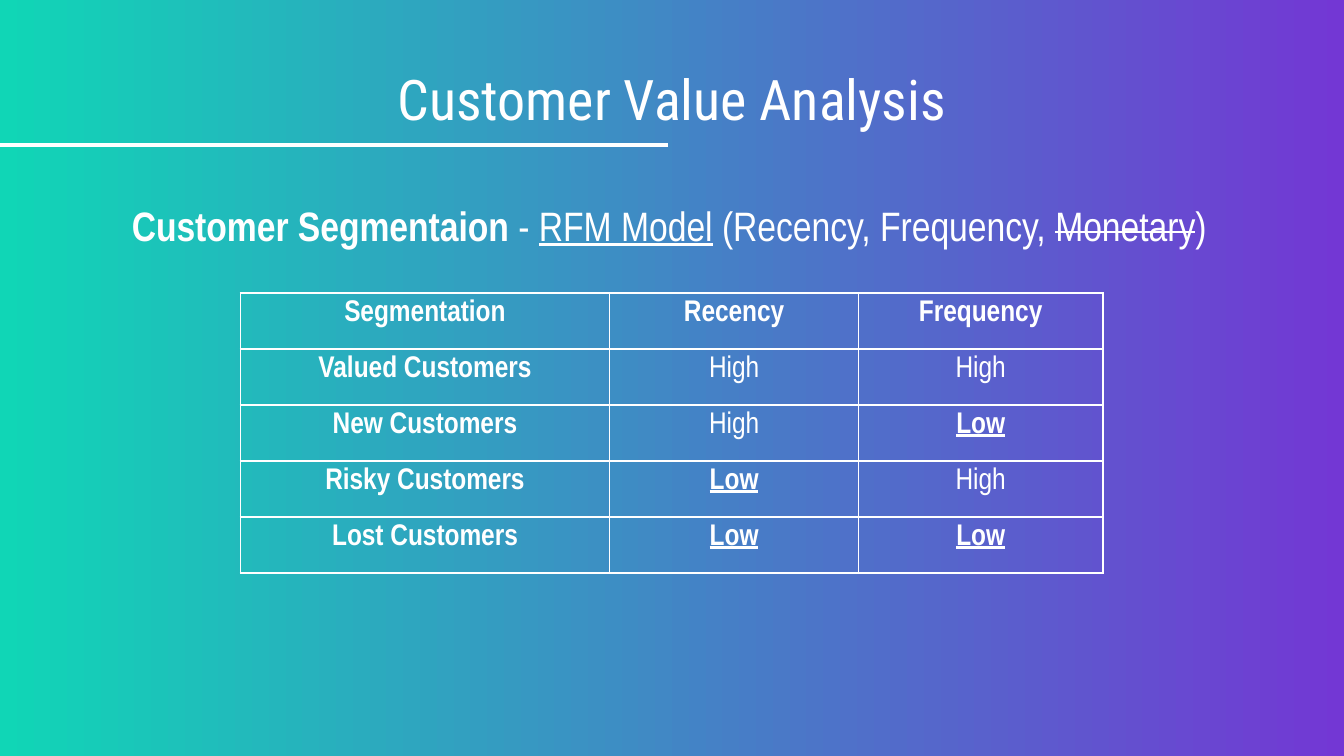
from lxml.etree import SubElement
from pptx import Presentation
from pptx.dml.color import RGBColor
from pptx.enum.text import MSO_ANCHOR as Anchor, MSO_AUTO_SIZE as AutoSize, PP_ALIGN as Align
from pptx.oxml.ns import qn
from pptx.util import Pt

COLORS = {"start": "10D6B6", "end": "7337D4", "white": "FFFFFF"}
TITLE_FONT, BODY_FONT = "Roboto Condensed", "Arial Narrow"
HEADERS = ["Segmentation", "Recency", "Frequency"]
SEGMENTS = [
    ["Valued Customers", "High", "High"],
    ["New Customers", "High", "Low"],
    ["Risky Customers", "Low", "High"],
    ["Lost Customers", "Low", "Low"],
]
COLUMN_WIDTHS = [198, 133.2, 131]
ROW_HEIGHT = 30


def color(name):
    return RGBColor.from_string(COLORS[name])


def add_run(paragraph, text, font_name, size, bold=False, underline=False, strike=False):
    run = paragraph.add_run()
    run.text = text
    font = run.font
    font.name, font.size = font_name, Pt(size)
    font.bold, font.underline = bold, underline
    font.color.rgb = color("white")
    if strike:
        run._r.get_or_add_rPr().set("strike", "sngStrike")


def set_background(slide):
    fill = slide.background.fill
    fill.gradient()
    fill.gradient_angle = 0
    for stop, name, position in zip(fill.gradient_stops, ("start", "end"), (0, 1)):
        stop.color.rgb = color(name)
        stop.position = position


def place_text(shape, left, top, width, height, anchor, align):
    """Position a placeholder and return its first paragraph."""
    shape.left, shape.top = Pt(left), Pt(top)
    shape.width, shape.height = Pt(width), Pt(height)
    frame = shape.text_frame
    frame.word_wrap, frame.auto_size = True, AutoSize.NONE
    frame.vertical_anchor = anchor
    frame.margin_left = frame.margin_right = Pt(7.2)
    frame.margin_top = frame.margin_bottom = Pt(7.2)
    paragraph = frame.paragraphs[0]
    paragraph.alignment = align
    paragraph.space_before = Pt(0)
    return paragraph


def remove_bullet(paragraph):
    properties = paragraph._p.get_or_add_pPr()
    properties.set("marL", "0")
    properties.set("indent", "0")
    SubElement(properties, qn("a:buNone"))


def add_rule(slide, left, right, y):
    line = slide.shapes.add_connector(1, Pt(left), Pt(y), Pt(right), Pt(y))
    line.line.color.rgb = color("white")
    line.line.width = Pt(2.25)
    SubElement(line._element.spPr, qn("a:effectLst"))


def set_borders(cell):
    properties = cell._tc.get_or_add_tcPr()
    for side in ("lnL", "lnR", "lnT", "lnB"):
        border = SubElement(properties, qn(f"a:{side}"), w=str(Pt(0.75)))
        fill = SubElement(border, qn("a:solidFill"))
        SubElement(fill, qn("a:srgbClr"), val=COLORS["white"])


def add_segment_table(slide, left, top):
    rows = [HEADERS] + SEGMENTS
    table = slide.shapes.add_table(
        len(rows), len(HEADERS), Pt(left), Pt(top),
        Pt(sum(COLUMN_WIDTHS)), Pt(ROW_HEIGHT * len(rows))).table
    table.first_row = table.horz_banding = False
    for column, width in zip(table.columns, COLUMN_WIDTHS):
        column.width = Pt(width)
    for row_index, values in enumerate(rows):
        table.rows[row_index].height = Pt(ROW_HEIGHT)
        for column_index, value in enumerate(values):
            cell = table.cell(row_index, column_index)
            set_borders(cell)
            cell.fill.background()
            paragraph = cell.text_frame.paragraphs[0]
            paragraph.alignment = Align.CENTER
            add_run(paragraph, value, BODY_FONT, 16,
                    bold=value != "High", underline=value == "Low")


def main():
    presentation = Presentation()
    presentation.slide_width, presentation.slide_height = Pt(720), Pt(405)
    slide = presentation.slides.add_slide(presentation.slide_layouts[1])
    set_background(slide)

    # Title and rule
    title = place_text(slide.shapes.title, 49, 10.8, 622, 67, Anchor.BOTTOM, Align.CENTER)
    add_run(title, "Customer Value Analysis", TITLE_FONT, 30)
    add_rule(slide, 0, 358, 77.8)

    # Model description
    model = place_text(slide.placeholders[1], 63.4, 100, 656.6, 206, Anchor.TOP, Align.LEFT)
    remove_bullet(model)
    for text, style in [
        ("Customer Segmentaion", {"bold": True}),
        (" - ", {}),
        ("RFM Model", {"underline": True}),
        (" (Recency, Frequency, ", {}),
        ("Monetary", {"strike": True}),
        (")", {}),
    ]:
        add_run(model, text, BODY_FONT, 22, **style)

    # Segment table
    add_segment_table(slide, 128.7, 157)

    presentation.save("out.pptx")


main()
